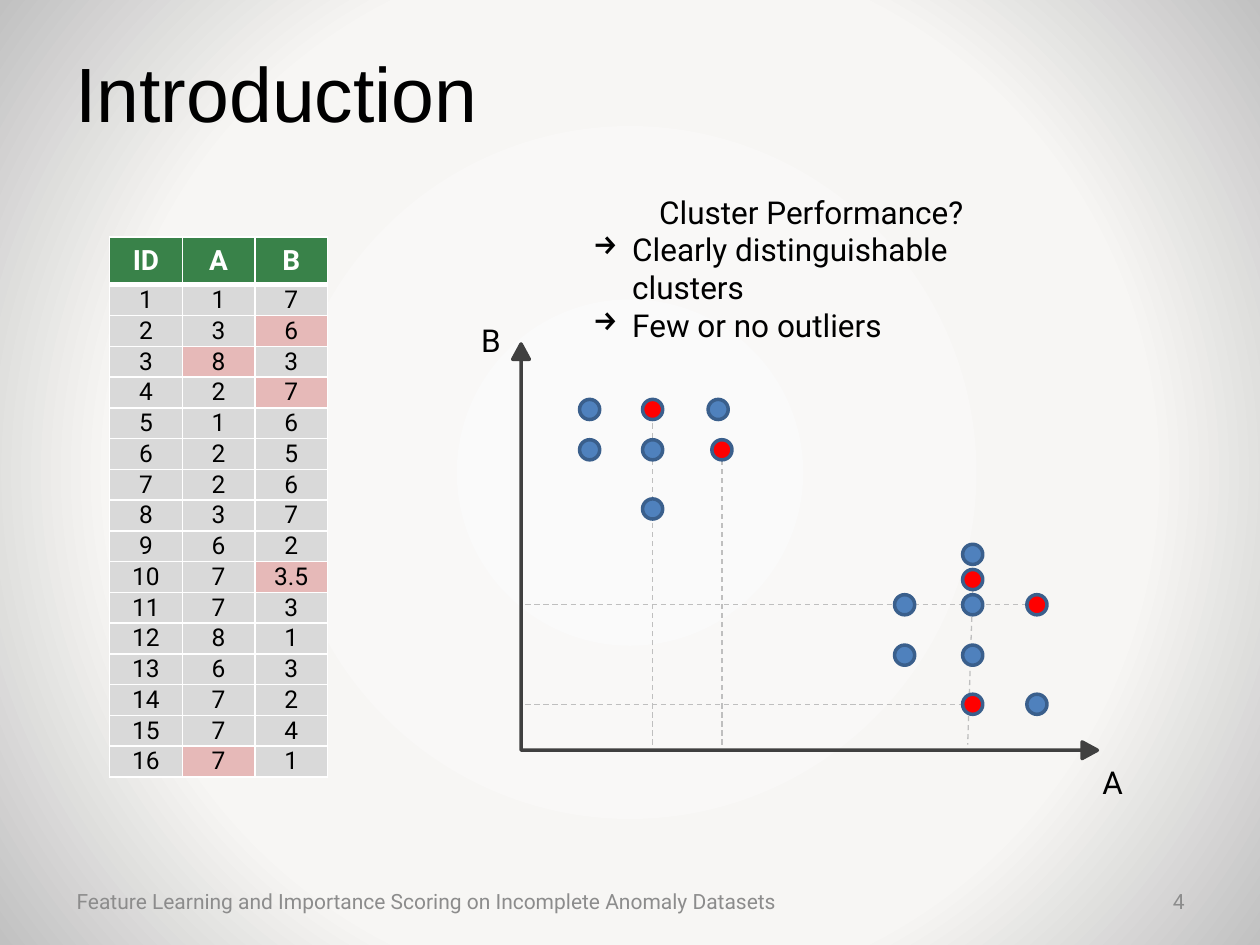
from dataclasses import dataclass
from typing import NamedTuple

from pptx import Presentation
from pptx import util as u
from pptx.dml.color import RGBColor
from pptx.enum import dml, shapes, text
from pptx.oxml import parse_xml
from pptx.oxml.ns import nsdecls

Inches, Pt = u.Inches, u.Pt


@dataclass(frozen=True)
class Theme:
    head_font: str = "Arial"
    font: str = "Roboto"
    ink: str = "000000"
    white: str = "FFFFFF"
    muted: str = "8C8C8C"
    axis: str = "404040"
    guide: str = "BFBFBF"
    dot: str = "4F81BD"
    rim: str = "3A5F8C"
    gap: str = "FF0000"
    head: str = "398249"
    cell: str = "D9D9D9"
    mark: str = "E6B9B8"
    glow: tuple = ((0, "FAFAFA"), (66, "F7F6F4"), (100, "C1C1C1"))
    title: int = 44
    body: int = 18
    label: int = 16
    data: int = 14
    foot: int = 12


class Box(NamedTuple):
    x: float
    y: float
    w: float
    h: float

    def lengths(self) -> list:
        return [Inches(v) for v in self]


class Row(NamedTuple):
    a: float
    b: float
    mark: str = ""  # column whose value is highlighted


class Guide(NamedTuple):
    x1: float
    y1: float
    x2: float
    y2: float


T = Theme()
ROWS = [
    Row(1, 7), Row(3, 6, "B"), Row(8, 3, "A"), Row(2, 7, "B"),
    Row(1, 6), Row(2, 5), Row(2, 6), Row(3, 7),
    Row(6, 2), Row(7, 3.5, "B"), Row(7, 3), Row(8, 1),
    Row(6, 3), Row(7, 2), Row(7, 4), Row(7, 1, "A"),
]
# Left and top edges of the dots for each value of A and B
COL = {1: 4.6, 2: 5.1, 3: 5.62, 6: 7.1, 7: 7.64, 8: 8.15}
LINE = {7: 3.17, 6: 3.49, 5: 3.96, 4: 4.32, 3.5: 4.52, 3: 4.72, 2: 5.12, 1: 5.51}
NUDGE = {Row(3, 6, "B"): 0.03}
SIZE = 0.16
GUIDES = [
    Guide(5.18, 5.91, 5.18, 3.33), Guide(5.73, 5.91, 5.73, 3.65),
    Guide(7.72, 4.68, 7.68, 5.91), Guide(4.17, 4.8, 8.15, 4.8),
    Guide(4.17, 5.59, 7.64, 5.59),
]


def rgb(code: str) -> RGBColor:
    return RGBColor.from_string(code)


def style(para, size: int, color: str = T.ink, font: str = T.font, bold: bool = False) -> None:
    for run in para.runs:
        run.font.size, run.font.name, run.font.bold = Pt(size), font, bold
        run.font.color.rgb = rgb(color)


def write(slide, box: Box, words: str, size: int, color: str = T.ink, font: str = T.font,
          align=text.PP_ALIGN.LEFT, mid: bool = False, wrap: bool = True):
    frame = slide.shapes.add_textbox(*box.lengths()).text_frame
    frame.text = words
    frame.word_wrap = wrap
    if mid:
        frame.vertical_anchor = text.MSO_ANCHOR.MIDDLE
    if not wrap:
        frame.auto_size = text.MSO_AUTO_SIZE.SHAPE_TO_FIT_TEXT
    for para in frame.paragraphs:
        para.alignment = align
        style(para, size, color, font)
    return frame


def paint(shape, fill: str, line: str) -> None:
    shape.shadow.inherit = False
    shape.fill.solid()
    shape.fill.fore_color.rgb = rgb(fill)
    shape.line.color.rgb = rgb(line)
    shape.line.width = Pt(2)


def bullet(para) -> None:
    props = para._p.get_or_add_pPr()
    props.set("marL", str(Inches(0.31)))
    props.set("indent", str(Inches(-0.31)))
    props.append(parse_xml(f'<a:buChar {nsdecls("a")} char="→"/>'))


def backdrop(slide) -> None:
    slide.background.fill.solid()
    props = slide.element.xpath(".//p:bgPr")[0]
    stops = "".join(f'<a:gs pos="{pos * 1000}"><a:srgbClr val="{code}"/></a:gs>'
                    for pos, code in T.glow)
    props.replace(props[0], parse_xml(
        f'<a:gradFill {nsdecls("a")} rotWithShape="1"><a:gsLst>{stops}</a:gsLst>'
        '<a:path path="circle"><a:fillToRect l="50000" t="50000" r="50000" b="50000"/>'
        '</a:path></a:gradFill>'))


def guide(slide, g: Guide) -> None:
    line = slide.shapes.add_connector(shapes.MSO_CONNECTOR.STRAIGHT, *[Inches(v) for v in g])
    line.line.color.rgb = rgb(T.guide)
    line.line.width = Pt(0.75)
    line.line.dash_style = dml.MSO_LINE.DASH
    line._element.spPr.append(parse_xml(f'<a:effectLst {nsdecls("a")}/>'))


def axes(slide, box: Box) -> None:
    arrow = slide.shapes.add_shape(shapes.MSO_SHAPE.LEFT_UP_ARROW, *box.lengths())
    for i, value in enumerate((0, 0.02, 0.037)):
        arrow.adjustments[i] = value
    arrow._element.spPr.xfrm.set("flipH", "1")
    paint(arrow, T.axis, T.axis)


def dot(slide, row: Row) -> None:
    box = Box(COL[row.a] + NUDGE.get(row, 0), LINE[row.b], SIZE, SIZE)
    oval = slide.shapes.add_shape(shapes.MSO_SHAPE.OVAL, *box.lengths())
    paint(oval, T.gap if row.mark else T.dot, T.rim)


def border(cell, top: int, base: int) -> None:
    props = cell._tc.get_or_add_tcPr()
    for i, (side, width) in enumerate((("L", 1), ("R", 1), ("T", top), ("B", base))):
        props.insert(i, parse_xml(
            f'<a:ln{side} {nsdecls("a")} w="{Pt(width)}"><a:solidFill>'
            f'<a:srgbClr val="{T.white}"/></a:solidFill></a:ln{side}>'))


def grid(slide, box: Box) -> None:
    names = ("ID", "A", "B")
    table = slide.shapes.add_table(len(ROWS) + 1, len(names), *box.lengths()).table
    table.horz_banding = False
    for col in table.columns:
        col.width = Inches(box.w / len(names))
    lines = [names] + [(n, row.a, row.b) for n, row in enumerate(ROWS, 1)]
    for r, values in enumerate(lines):
        head = r == 0
        table.rows[r].height = Inches(0.38 if head else (box.h - 0.38) / len(ROWS))
        for c, value in enumerate(values):
            cell = table.cell(r, c)
            cell.text_frame.text = str(value)
            cell.vertical_anchor = text.MSO_ANCHOR.MIDDLE
            para = cell.text_frame.paragraphs[0]
            para.alignment = text.PP_ALIGN.CENTER
            if head:
                fill = T.head
                style(para, T.label, T.white, bold=True)
            else:
                fill = T.mark if ROWS[r - 1].mark == names[c] else T.cell
                cell.margin_top = cell.margin_bottom = 0
                style(para, T.data)
            cell.fill.solid()
            cell.fill.fore_color.rgb = rgb(fill)
            border(cell, 3 if r == 1 else 1, 3 if head else 1)


def main() -> None:
    deck = Presentation()
    deck.slide_width, deck.slide_height = Inches(10), Inches(7.5)
    slide = deck.slides.add_slide(deck.slide_layouts[6])
    backdrop(slide)

    # Guides lie behind the axes and dots
    for g in GUIDES:
        guide(slide, g)

    # Title and footer
    write(slide, Box(0.5, 0.3, 9, 0.85), "Introduction", T.title, font=T.head_font, mid=True)
    write(slide, Box(0.51, 6.95, 7.24, 0.4),
          "Feature Learning and Importance Scoring on Incomplete Anomaly Datasets",
          T.foot, T.muted, mid=True)
    write(slide, Box(7.91, 6.95, 1.59, 0.4), "4", T.foot, T.muted,
          align=text.PP_ALIGN.RIGHT, mid=True)

    # Scatter plot, one dot per table row
    axes(slide, Box(4.07, 2.73, 4.64, 3.29))
    write(slide, Box(8.65, 6.01, 0.35, 0.4), "A", T.body, wrap=False)
    write(slide, Box(3.72, 2.5, 0.35, 0.4), "B", T.body, wrap=False)
    for row in ROWS:
        dot(slide, row)

    # Question and its criteria
    notes = write(slide, Box(4.61, 1.48, 3.66, 1.01),
                  "Cluster Performance?\nClearly distinguishable clusters\nFew or no outliers",
                  T.body, wrap=False)
    notes.paragraphs[0].alignment = text.PP_ALIGN.CENTER
    for para in notes.paragraphs[1:]:
        bullet(para)

    # Data table
    grid(slide, Box(0.87, 1.88, 1.73, 4.29))
    deck.save("out.pptx")


if __name__ == "__main__":
    main()
